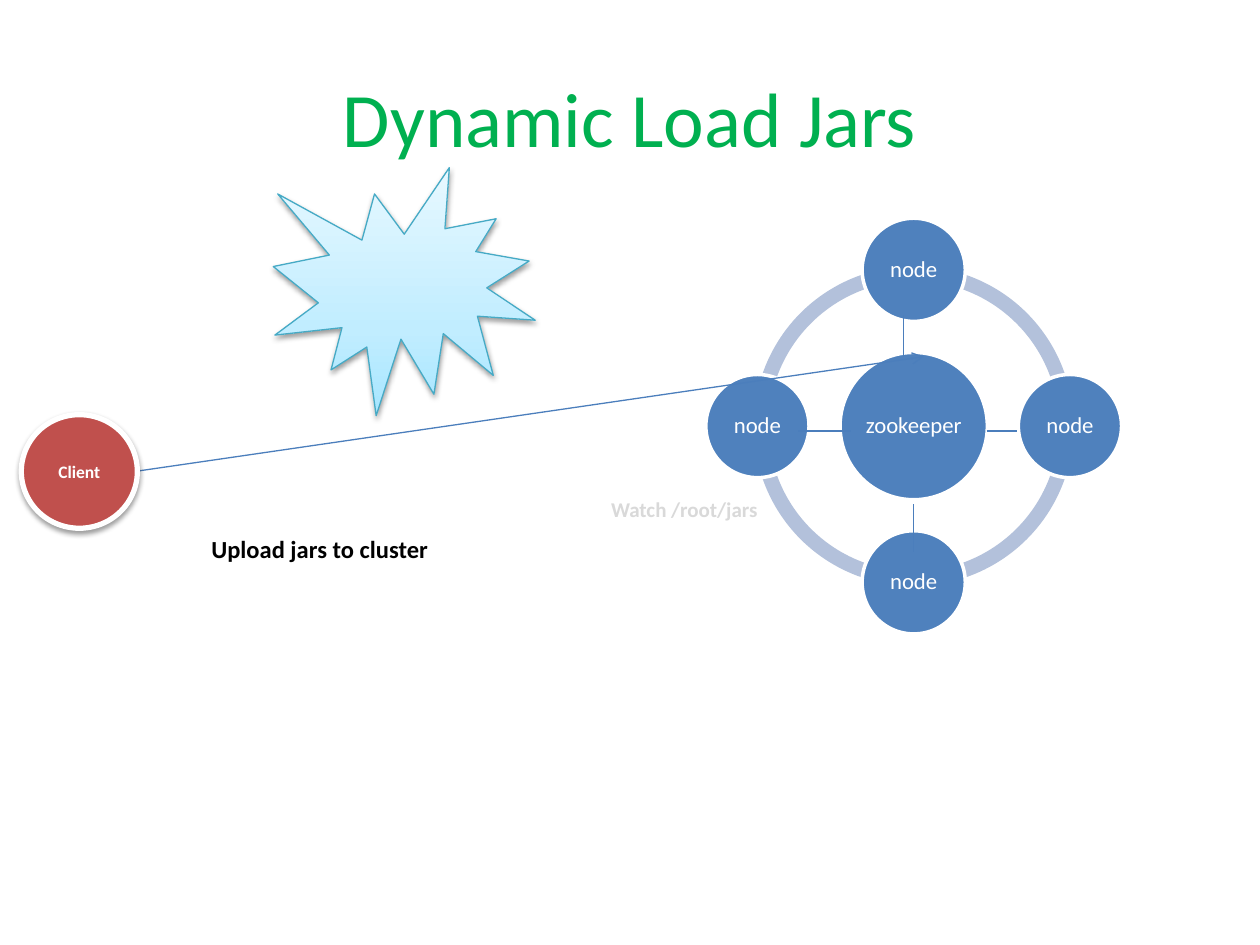
from copy import deepcopy
from math import cos, radians, sin

from lxml.etree import SubElement
from pptx import Presentation
from pptx.dml.color import RGBColor
from pptx.enum.shapes import MSO_CONNECTOR as CONN, MSO_SHAPE as SHAPE
from pptx.enum.text import MSO_ANCHOR as ANCHOR, MSO_AUTO_SIZE as AUTO, PP_ALIGN as ALIGN
from pptx.oxml.ns import qn
from pptx.util import Cm, Pt

GREEN = RGBColor(0x00, 0xB0, 0x50)
BLUE = RGBColor(0x4F, 0x81, 0xBD)
LINE_BLUE = RGBColor(0x4B, 0x7E, 0xBC)
PALE_BLUE = RGBColor(0xB3, 0xC1, 0xDB)
RED = RGBColor(0xC0, 0x50, 0x4D)
AQUA = RGBColor(0x46, 0xAA, 0xC5)
GREY = RGBColor(0xD9, 0xD9, 0xD9)
BLACK = RGBColor(0, 0, 0)
WHITE = RGBColor(0xFF, 0xFF, 0xFF)
SEAL_STOPS = [(0, RGBColor(0xA7, 0xE6, 0xFF)),
              (0.35, RGBColor(0xC1, 0xED, 0xFF)),
              (1, RGBColor(0xE7, 0xF8, 0xFF))]


def write(tf, text, size=13, color=WHITE, bold=False, align=ALIGN.CENTER,
          anchor=ANCHOR.MIDDLE, spacing=None, inset=None):
    tf.word_wrap = True
    tf.vertical_anchor = anchor
    if inset is not None:
        tf.margin_left = tf.margin_right = tf.margin_top = tf.margin_bottom = Cm(inset)
    p = tf.paragraphs[0]
    p.alignment, p.line_spacing = align, spacing
    r = p.add_run()
    r.text = text
    r.font.name, r.font.size, r.font.bold = "Calibri", Pt(size), bold
    r.font.color.rgb = color


class Diagram:
    def __init__(self, slide):
        self.s = slide

    def title(self, text):
        sp = self.s.shapes.title
        sp.left, sp.top, sp.width, sp.height = Cm(1.27), Cm(0.76), Cm(22.86), Cm(3.18)
        write(sp.text_frame, text, size=44, color=GREEN)

    def shape(self, kind, x, y, w, h, fill=None, line=None, width=0.75):
        sp = self.s.shapes.add_shape(kind, Cm(x), Cm(y), Cm(w), Cm(h))
        sp.shadow.inherit = False
        if fill is not None:
            sp.fill.solid()
            sp.fill.fore_color.rgb = fill
        if line is None:
            sp.line.fill.background()
        else:
            sp.line.color.rgb = line
            sp.line.width = Pt(width)
        return sp

    def circle(self, cx, cy, d, text):
        sp = self.shape(SHAPE.OVAL, cx - d / 2, cy - d / 2, d, d, BLUE, WHITE, 2)
        write(sp.text_frame, text, spacing=0.9, inset=0.05)

    def arc(self, cx, cy, d, start, end):
        sp = self.shape(SHAPE.BLOCK_ARC, cx - d / 2, cy - d / 2, d, d, PALE_BLUE)
        # Block arc angles are stored in units of 5/3 degrees
        for i, value in enumerate((start * 0.6, end * 0.6, 0.046)):
            sp.adjustments[i] = value

    def gradient(self, sp, stops):
        sp.fill.gradient()
        sp.fill.gradient_angle = 90
        gs_list = sp.fill.gradient_stops[0]._gs.getparent()
        gs_list.append(deepcopy(gs_list[0]))
        for stop, (position, color) in zip(sp.fill.gradient_stops, stops):
            stop.position = position
            stop.color.rgb = color

    def drop_shadow(self, sp):
        effects = sp._element.spPr.find(qn("a:effectLst"))
        shadow = SubElement(effects, qn("a:outerShdw"), blurRad=str(Pt(3.1)),
                            dist=str(Pt(1.6)), dir="5400000", rotWithShape="0")
        color = SubElement(shadow, qn("a:srgbClr"), val=str(BLACK))
        SubElement(color, qn("a:alpha"), val="38000")

    def line(self, x1, y1, x2, y2, arrow=False):
        c = self.s.shapes.add_connector(CONN.STRAIGHT, Cm(x1), Cm(y1), Cm(x2), Cm(y2))
        c.line.color.rgb = LINE_BLUE
        c.line.width = Pt(0.75)
        if arrow:
            SubElement(c.line._get_or_add_ln(), qn("a:tailEnd"), type="arrow")
        SubElement(c._element.spPr, qn("a:effectLst"))

    def label(self, text, x, y, w, h, size, color):
        tf = self.s.shapes.add_textbox(Cm(x), Cm(y), Cm(w), Cm(h)).text_frame
        write(tf, text, size=size, color=color, bold=True, align=ALIGN.LEFT,
              anchor=ANCHOR.TOP)
        tf.auto_size = AUTO.SHAPE_TO_FIT_TEXT


def main():
    prs = Presentation()
    prs.slide_width, prs.slide_height = Cm(25.4), Cm(19.05)
    d = Diagram(prs.slides.add_slide(prs.slide_layouts[5]))
    d.title("Dynamic Load Jars")

    # Cluster: ring, hub and four nodes
    cx, cy, orbit = 18.42, 8.59, 3.15
    for start in (180, 90, 0, 270):
        d.arc(cx, cy, 6.45, start, (start + 90) % 360)
    d.circle(cx, cy, 2.97, "zookeeper")
    for angle in (-90, 0, 90, 180):
        a = radians(angle)
        d.circle(cx + orbit * cos(a), cy + orbit * sin(a), 2.08, "node")

    # Spokes between hub and nodes
    for ends in ((18.21, 7.19, 18.21, 6.35), (17.15, 8.69, 16.08, 8.69),
                 (18.42, 10.16, 18.42, 11.13), (19.89, 8.69, 20.5, 8.69)):
        d.line(*ends)
    d.label("Watch /root/jars", 12.07, 9.88, 3.58, 0.76, 12, GREY)

    # Burst
    seal = d.shape(SHAPE.EXPLOSION1, 5.51, 3.38, 5.28, 5, line=AQUA)
    d.gradient(seal, SEAL_STOPS)
    d.drop_shadow(seal)

    # Client and its upload
    d.line(2.54, 9.53, 18.62, 7.19, arrow=True)
    d.label("Upload jars to cluster", 4.01, 10.64, 5.72, 0.86, 14, BLACK)
    client = d.shape(SHAPE.OVAL, 0.43, 8.36, 2.34, 2.29, RED, WHITE, 3)
    d.drop_shadow(client)
    write(client.text_frame, "Client", size=10, bold=True)

    prs.save("out.pptx")


if __name__ == "__main__":
    main()
